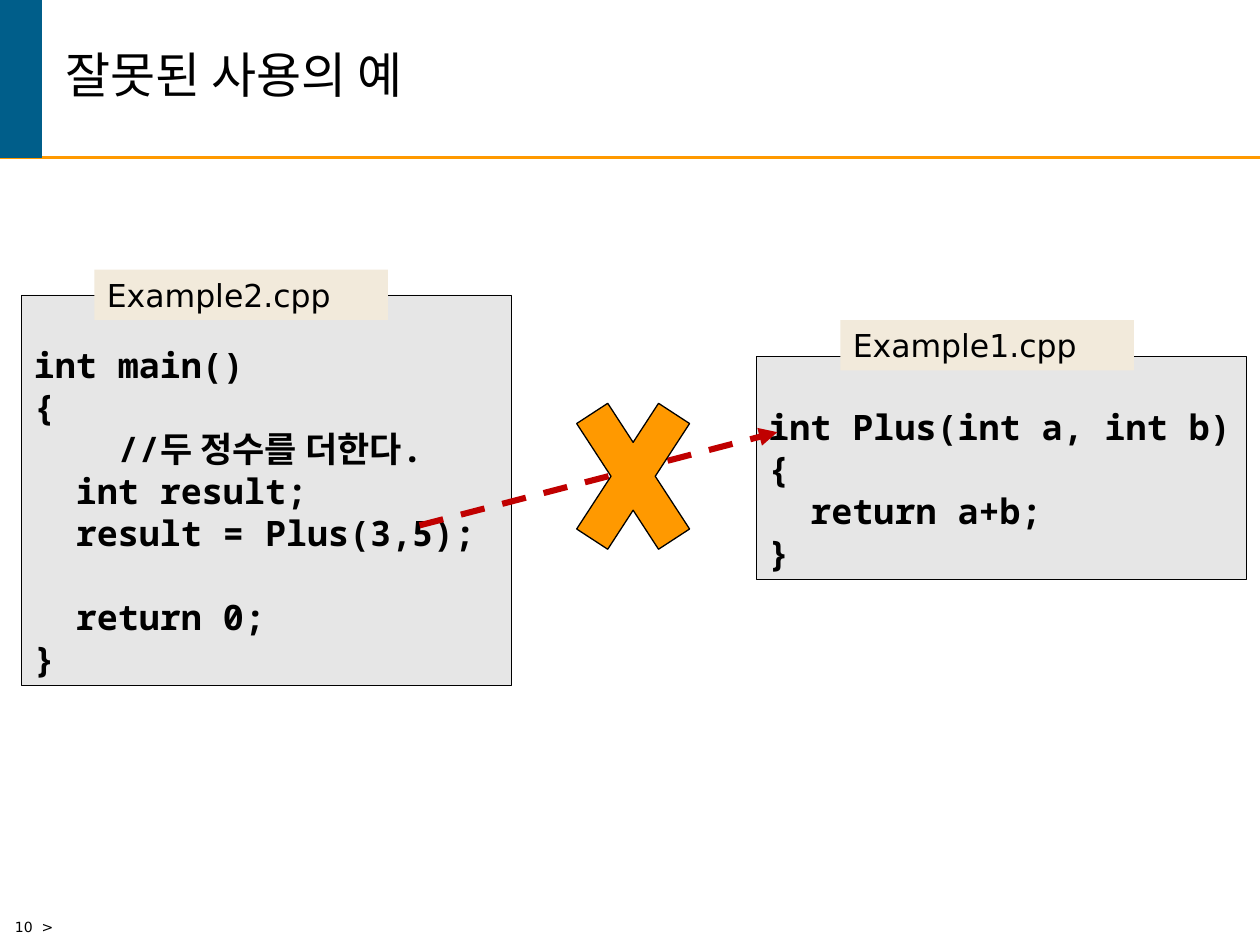
from lxml import etree
from pptx import Presentation
from pptx.dml.color import RGBColor
from pptx.enum import dml, shapes, text
from pptx.oxml.ns import qn
from pptx.util import Inches, Pt

COLORS = {"accent": "FF9900", "band": "005E8A", "code": "E6E6E6",
          "label": "F2EADB", "arrow": "C00000", "ink": "000000"}
SANS, MONO = "DejaVu Sans", "Noto Sans Mono"
LINE_HEIGHT = Pt(24)


def add_box(kind, x, y, w, h, fill=None, line=None, width=1):
    """Add a preset shape, without fill or outline unless a colour is named."""
    sp = s.shapes.add_shape(kind, Inches(x), Inches(y), Inches(w), Inches(h))
    sp.shadow.inherit = False
    for part, color in ((sp.fill, fill), (sp.line.fill, line)):
        if color:
            part.solid()
            part.fore_color.rgb = RGBColor.from_string(COLORS[color])
        else:
            part.background()
    if line:
        sp.line.width = Pt(width)
    return sp


def write(sp, lines, size, font=SANS, bold=False, anchor=text.MSO_ANCHOR.TOP):
    """Write one paragraph per line; an empty line becomes space before the next."""
    tf = sp.text_frame
    tf.word_wrap = True
    tf.vertical_anchor = anchor
    p, gap = None, False
    for line in lines:
        if not line:
            gap = True
            continue
        p = tf.add_paragraph() if p else tf.paragraphs[0]
        p.alignment = text.PP_ALIGN.LEFT
        if gap:
            p.space_before = LINE_HEIGHT
        gap = False
        r = p.add_run()
        r.text = line
        r.font.size, r.font.name, r.font.bold = Pt(size), font, bold
        r.font.color.rgb = RGBColor.from_string(COLORS["ink"])
    return tf


prs = Presentation()
prs.slide_width, prs.slide_height = Inches(10), Inches(7.5)
s = prs.slides.add_slide(prs.slide_layouts[6])
RECT = shapes.MSO_SHAPE.RECTANGLE

# Header rule and call arrow share the connector setup; the arrow comes after the code
connectors = {
    "rule": (0, 1.25, 10, 1.25, "accent", 1.5),
    "call": (3.33, 4.17, 6.17, 3.43, "arrow", 3.5),
}
lines = {}
for name, (x1, y1, x2, y2, color, width) in connectors.items():
    c = s.shapes.add_connector(shapes.MSO_CONNECTOR.STRAIGHT,
                               Inches(x1), Inches(y1), Inches(x2), Inches(y2))
    c.line.color.rgb = RGBColor.from_string(COLORS[color])
    c.line.width = Pt(width)
    lines[name] = c
lines["call"].line.dash_style = dml.MSO_LINE.DASH
etree.SubElement(lines["call"].line._get_or_add_ln(), qn("a:tailEnd"), type="triangle")
for c in lines.values():
    etree.SubElement(c._element.spPr, qn("a:effectLst"))

# Header and page number
add_box(RECT, 0, 0, 0.33, 1.25, "band", "band")
title = s.shapes.add_textbox(Inches(0.42), Inches(0), Inches(9.33), Inches(1.25))
tf = write(title, ["잘못된 사용의 예"], 28, anchor=text.MSO_ANCHOR.MIDDLE)
tf.paragraphs[0].line_spacing = 0.85
page = s.shapes.add_textbox(Inches(0.02), Inches(7.24), Inches(1.4), Inches(0.26))
write(page, ["10  >"], 8)

# Source files: code panel position and height, label position, name, code
files = [
    (6, 2.83, 1.77, 6.67, 2.54, "Example1.cpp",
     ["int Plus(int a, int b)", "{", "  return a+b;", "}"]),
    (0.17, 2.34, 3.1, 0.75, 2.14, "Example2.cpp",
     ["int main()", "{", "    //두 정수를 더한다.", "  int result;",
      "  result = Plus(3,5);", "", "  return 0;", "}"]),
]
for x, y, h, label_x, label_y, name, code in files:
    panel = add_box(RECT, x, y, 3.89, h, "code", "ink", 0.25)
    write(panel, code, 20, MONO, True, text.MSO_ANCHOR.BOTTOM)
    label = add_box(RECT, label_x, label_y, 2.33, 0.4, "label")
    write(label, [name], 18)

# The call runs over the code panels, and the cross covers it
s.shapes._spTree.append(lines["call"]._element)
add_box(shapes.MSO_SHAPE.MATH_MULTIPLY, 4.4, 2.82, 1.25, 1.92, "accent", "ink", 0.75)

prs.save("out.pptx")
